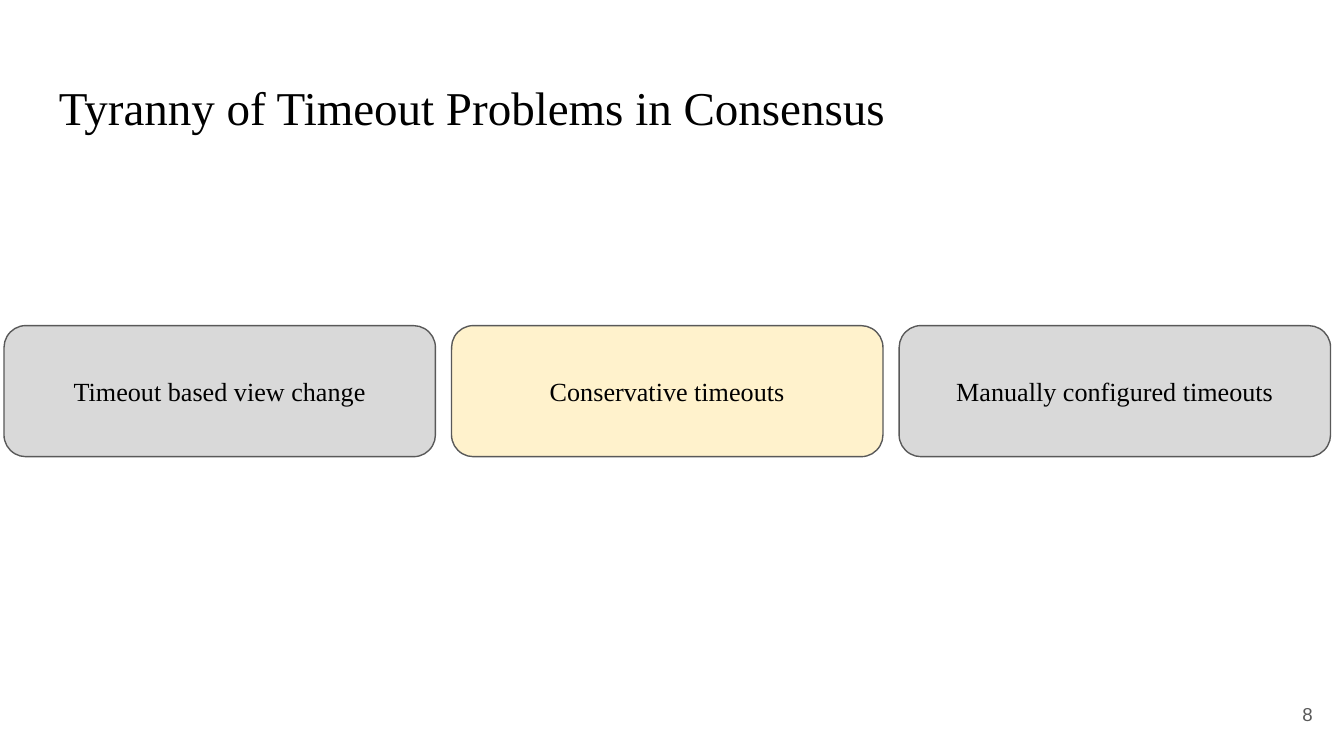
from pptx import Presentation
from pptx.dml.color import RGBColor
from pptx.enum.shapes import MSO_SHAPE
from pptx.enum.text import MSO_ANCHOR, PP_ALIGN
from pptx.util import Inches, Pt

ROUNDED = MSO_SHAPE.ROUNDED_RECTANGLE
TOP, MIDDLE = MSO_ANCHOR.TOP, MSO_ANCHOR.MIDDLE
LEFT, CENTER, RIGHT = PP_ALIGN.LEFT, PP_ALIGN.CENTER, PP_ALIGN.RIGHT

BLACK = RGBColor(0x00, 0x00, 0x00)
DARK_GRAY = RGBColor(0x59, 0x59, 0x59)
LIGHT_GRAY = RGBColor(0xD9, 0xD9, 0xD9)
CREAM = RGBColor(0xFF, 0xF2, 0xCC)

SERIF, SANS = "Times New Roman", "Arial"
CELL = Inches(0.1)  # square grid: 100 columns by 56.25 rows (16:9)


def write_text(shape, text, size=14, font=SERIF, color=BLACK, align=LEFT, anchor=MIDDLE):
    """Put one formatted paragraph into a shape."""
    frame = shape.text_frame
    frame.word_wrap = True
    frame.vertical_anchor = anchor
    frame.margin_left = frame.margin_right = CELL
    frame.margin_top = frame.margin_bottom = CELL
    paragraph = frame.paragraphs[0]
    paragraph.alignment = align
    run = paragraph.add_run()
    run.text = text
    run.font.size = Pt(size)
    run.font.name = font
    run.font.color.rgb = color


class SlideBuilder:
    """Holds the line style and the current slide; lengths are grid cells."""

    def __init__(self, slide, line_color=DARK_GRAY, line_width=0.75):
        self.slide = slide
        self.line_color = line_color
        self.line_width = Pt(line_width)

    def place(self, *cells):
        return [round(cell * CELL) for cell in cells]

    def label(self, column, row, width, height, text, **text_format):
        box = self.slide.shapes.add_textbox(*self.place(column, row, width, height))
        write_text(box, text, **text_format)

    def card(self, column, row, width, height, text, fill):
        shape = self.slide.shapes.add_shape(ROUNDED, *self.place(column, row, width, height))
        shape.shadow.inherit = False
        shape.fill.solid()
        shape.fill.fore_color.rgb = fill
        shape.line.color.rgb = self.line_color
        shape.line.width = self.line_width
        write_text(shape, text, align=CENTER)


def main():
    presentation = Presentation()
    presentation.slide_width = 100 * CELL
    presentation.slide_height = round(56.25 * CELL)
    builder = SlideBuilder(presentation.slides.add_slide(presentation.slide_layouts[6]))

    # Title
    builder.label(3.4, 4.85, 93.2, 6.3, "Tyranny of Timeout Problems in Consensus",
                  size=25.2, anchor=TOP)

    # Row of problem cards, the middle one highlighted
    problems = [
        ("Timeout based view change", LIGHT_GRAY),
        ("Conservative timeouts", CREAM),
        ("Manually configured timeouts", LIGHT_GRAY),
    ]
    card_width, gap = 32.1, 1.2
    for index, (text, fill) in enumerate(problems):
        builder.card(0.3 + index * (card_width + gap), 24.23, card_width, 9.75, text, fill)

    # Slide number
    builder.label(92.65, 51, 6, 4.3, "8", size=10, font=SANS, color=DARK_GRAY, align=RIGHT)

    presentation.save("out.pptx")


if __name__ == "__main__":
    main()
